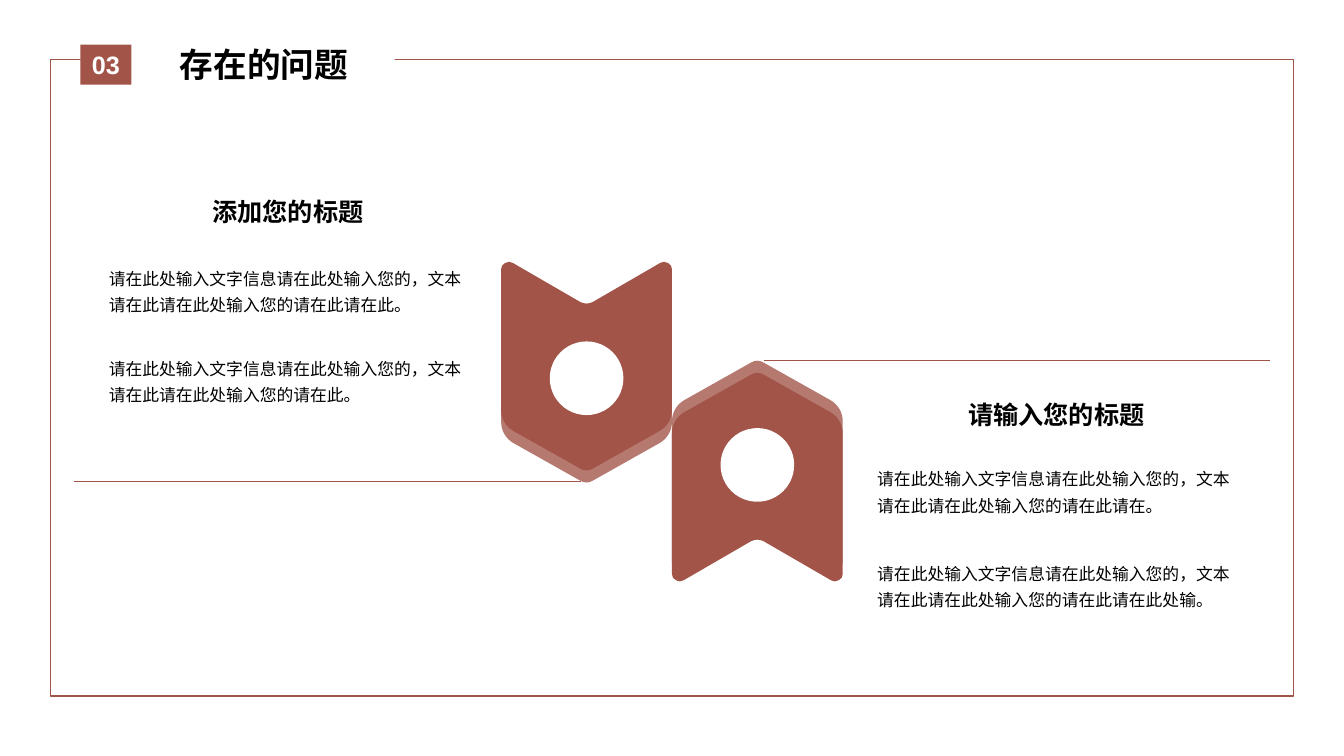
import pptx
import pptx.dml.color
import pptx.enum.shapes
import pptx.enum.text
import pptx.oxml
import pptx.oxml.ns
import pptx.oxml.xmlchemy
import pptx.util

Pt = pptx.util.Pt
RGBColor = pptx.dml.color.RGBColor
SHAPE = pptx.enum.shapes.MSO_SHAPE
ALIGN = pptx.enum.text.PP_ALIGN
ANCHOR = pptx.enum.text.MSO_ANCHOR
FIT = pptx.enum.text.MSO_AUTO_SIZE
qn = pptx.oxml.ns.qn
new_element = pptx.oxml.xmlchemy.OxmlElement

BRICK = RGBColor(0xA2, 0x54, 0x48)
WHITE = RGBColor(0xFF, 0xFF, 0xFF)
BLACK = RGBColor(0x00, 0x00, 0x00)
CHINESE = "Noto Sans CJK SC"

BODY = {"size": Pt(12), "bold": False, "name": CHINESE}
HEADING = {"size": Pt(18), "bold": True, "name": CHINESE}
TITLE = {"size": Pt(24), "bold": True, "name": CHINESE}
NUMBER = {"size": Pt(18), "bold": True, "name": "Arial"}

POINT = [(-4.5, 148), (-1.5, 149.8), (1.5, 149.8), (4.5, 148)]
NOTCH = [(4.5, 29), (1.5, 30.5), (-1.5, 30.5), (-4.5, 29)]
RIGHT_CORNERS = [
    [(52.5, 121), (57.5, 118), (61, 112.5), (61, 106)],
    [(61, 5.5), (61, 3.7), (60, 2), (58.2, 1.2)],
    [(58.2, 1.2), (56.4, 0), (54.2, 0), (52.5, 1.2)],
]
LEFT_CORNERS = [[(-x, y) for x, y in reversed(curve)] for curve in reversed(RIGHT_CORNERS)]
OUTLINE = [POINT, *RIGHT_CORNERS, NOTCH, *LEFT_CORNERS]
BACK_SHIFT = 8.6
HOLE_OFFSET = 83.5
HOLE_SIZE = 52.6
LINE_LENGTH = 361.8


def paint(shape, fill, line=None, alpha=None):
    shape.shadow.inherit = False
    shape.fill.solid()
    shape.fill.fore_color.rgb = fill
    if alpha:
        opacity = new_element("a:alpha")
        opacity.set("val", str(alpha * 1000))
        shape._element.spPr.find(qn("a:solidFill"))[0].append(opacity)
    if line:
        shape.line.color.rgb = line
        shape.line.width = Pt(1)
    else:
        shape.line.fill.background()


def add_block(page, kind, frame, fill, line=None):
    block = page.shapes.add_shape(kind, *map(Pt, frame))
    paint(block, fill, line)
    return block


def write(box, text, style, color, align, anchor, spacing=None):
    frame = box.text_frame
    for key, value in {"word_wrap": True, "vertical_anchor": anchor}.items():
        setattr(frame, key, value)
    para = frame.paragraphs[0]
    for key, value in {"alignment": align, "line_spacing": spacing}.items():
        setattr(para, key, value)
    span = para.add_run()
    span.text = text
    for key, value in style.items():
        setattr(span.font, key, value)
    span.font.color.rgb = color
    east_asian = new_element("a:ea")
    east_asian.set("typeface", style["name"])
    span.font._element.find(qn("a:latin")).addnext(east_asian)


def add_text(page, frame, text, style, align=ALIGN.LEFT, anchor=ANCHOR.TOP, spacing=None):
    box = page.shapes.add_textbox(*map(Pt, frame))
    write(box, text, style, BLACK, align, anchor, spacing)
    return box


def round_corners(shape):
    outline = next(shape._element.iter(qn("a:path")))
    steps = list(outline)
    for index, curve in enumerate(OUTLINE):
        start, *rest = steps[4 * index:4 * index + 4]
        bend = new_element("a:cubicBezTo")
        start.addnext(bend)
        for step in rest:
            bend.append(step[0])
            outline.remove(step)
        if index and curve[0] == OUTLINE[index - 1][-1]:
            outline.remove(start)


def add_arrow(page, centre, base, direction, alpha=None):
    points = [
        (Pt(centre + x), Pt(base + direction * y))
        for curve in OUTLINE for x, y in curve
    ]
    builder = page.shapes.build_freeform(*points[0])
    builder.add_line_segments(points[1:], close=True)
    arrow = builder.convert_to_shape()
    round_corners(arrow)
    paint(arrow, BRICK, alpha=alpha)


def add_marker(page, centre, base, direction):
    add_arrow(page, centre, base + direction * BACK_SHIFT, direction, alpha=78)
    add_arrow(page, centre, base, direction)
    hole_top = base + direction * HOLE_OFFSET - HOLE_SIZE / 2
    add_block(page, SHAPE.OVAL, (centre - HOLE_SIZE / 2, hole_top, HOLE_SIZE, HOLE_SIZE), WHITE)


def add_rule(page, start, level, length):
    rule = page.shapes.add_connector(
        pptx.enum.shapes.MSO_CONNECTOR.STRAIGHT,
        Pt(start), Pt(level), Pt(start + length), Pt(level),
    )
    rule.line.color.rgb = BRICK
    rule.line.width = Pt(0.25)
    rule._element.spPr.append(new_element("a:effectLst"))


def add_section(page, left, top, heading, bodies):
    add_text(page, (left, top, 270, 34.6), heading, HEADING, ALIGN.CENTER, ANCHOR.MIDDLE)
    for body_top, height, body in bodies:
        add_text(page, (left, body_top, 270, height), body, BODY, spacing=1.3)


def main():
    deck = pptx.Presentation()
    deck.slide_width, deck.slide_height = Pt(960), Pt(540)
    page = deck.slides.add_slide(deck.slide_layouts[6])

    add_block(page, SHAPE.RECTANGLE, (36, 42.5, 888, 454.6), WHITE, BRICK)
    add_block(page, SHAPE.RECTANGLE, (57.6, 10.8, 224.4, 70.6), WHITE)

    add_marker(page, 419, 186.7, 1)
    add_marker(page, 541, 415.6, -1)
    add_rule(page, 414.7, 344, -LINE_LENGTH)
    add_rule(page, 545.5, 257.4, LINE_LENGTH)

    add_section(page, 70.6, 133.9, "添加您的标题", [
        (184.3, 50, "请在此处输入文字信息请在此处输入您的，文本请在此请在此处输入您的请在此请在此。"),
        (248.4, 89.3, "请在此处输入文字信息请在此处输入您的，文本请在此请在此处输入您的请在此。"),
    ])
    add_section(page, 619.5, 278.6, "请输入您的标题", [
        (327.2, 51, "请在此处输入文字信息请在此处输入您的，文本请在此请在此处输入您的请在此请在。"),
        (394.6, 89.3, "请在此处输入文字信息请在此处输入您的，文本请在此请在此处输入您的请在此请在此处输。"),
    ])

    title = add_text(page, (94.5, 28.1, 187.9, 36), "存在的问题", TITLE, ALIGN.CENTER)
    title.text_frame.auto_size = FIT.SHAPE_TO_FIT_TEXT
    badge = add_block(page, SHAPE.RECTANGLE, (57.4, 31.9, 36.5, 28.6), BRICK)
    write(badge, "03", NUMBER, WHITE, ALIGN.CENTER, ANCHOR.MIDDLE)

    deck.save("out.pptx")


if __name__ == "__main__":
    main()
